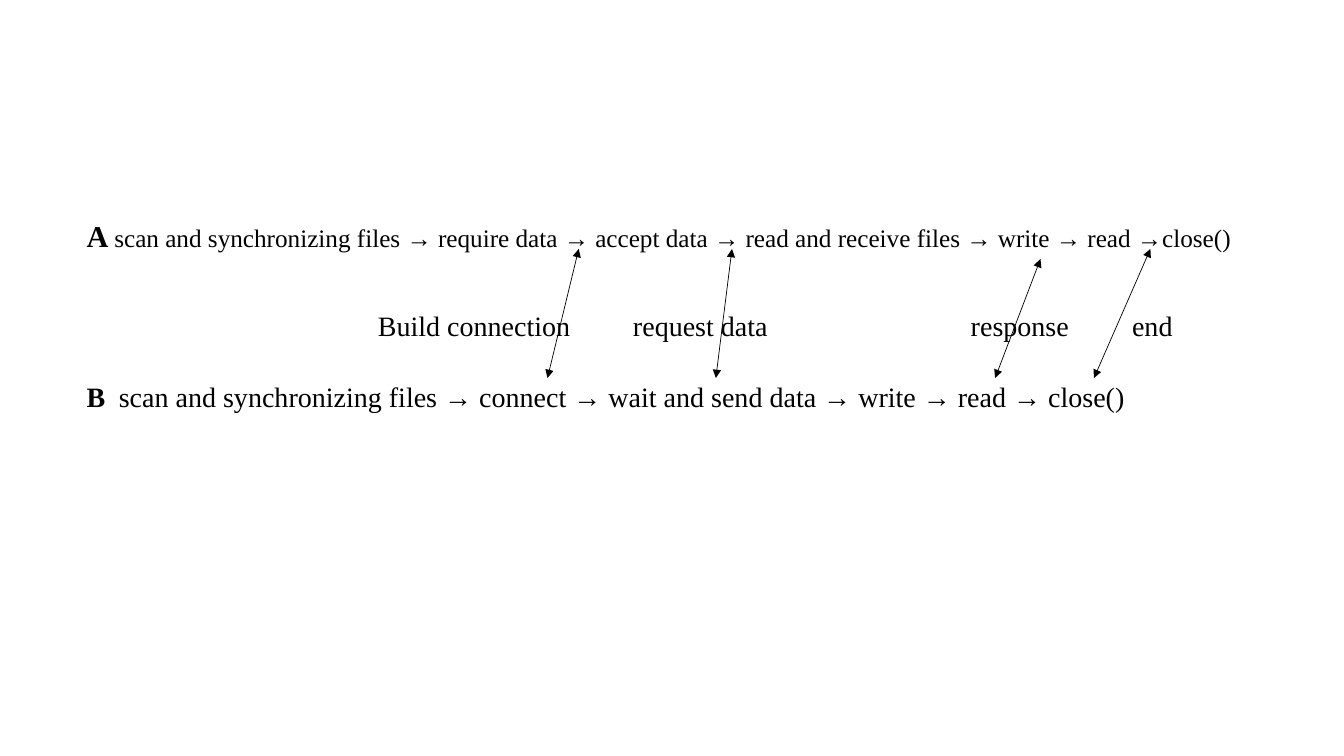
from lxml import etree
from pptx import Presentation
from pptx.dml.color import RGBColor
from pptx.enum.shapes import MSO_CONNECTOR
from pptx.enum.text import MSO_ANCHOR
from pptx.oxml.ns import qn
from pptx.util import Inches, Pt

TOP, BOTTOM = MSO_ANCHOR.TOP, MSO_ANCHOR.BOTTOM
STRAIGHT = MSO_CONNECTOR.STRAIGHT
BLACK = RGBColor(0, 0, 0)
FONT = "Times New Roman"

# Runs are (text, size in points, bold)
HOST_A = [
    ("A ", 21.6, True),
    ("scan and synchronizing files → require data → accept data → "
     "read and receive files → write → read →close()", 18, False),
]
HOST_B = [
    ("B\t", 20, True),
    ("scan and synchronizing files → connect → wait and send data → "
     "write → read → close()", 20, False),
]
MESSAGES = ["Build connection", "request data", "response", "end"]

# Box (left, top, width, height), runs, anchor, line spacing, space before, tab stops
TEXTS = [
    ((0.76, 2.16, 11.82, 0.41), HOST_A, BOTTOM, 0.9, 0, []),
    ((0.76, 3.75, 11.82, 0.41), HOST_B, TOP, 0.9, 10, [0.32]),
    ((3.65, 3.01, 8.63, 0.44), [("\t".join(MESSAGES), 20, False)],
     TOP, 1.0, 0, [2.53, 5.88, 7.48]),
]

# Upper end x, upper end y, lower end x
ARROWS = [(5.74, 2.47, 5.43), (7.26, 2.47, 7.1), (10.32, 2.57, 9.87), (11.41, 2.47, 10.85)]
ARROW_BOTTOM = 3.75


def add_text(slide, box, runs, anchor, spacing, before, tabs):
    tf = slide.shapes.add_textbox(*map(Inches, box)).text_frame
    tf.word_wrap = True
    tf.vertical_anchor = anchor
    p = tf.paragraphs[0]
    p.line_spacing = spacing
    p.space_before = Pt(before)
    if tabs:
        tab_list = etree.SubElement(p._p.get_or_add_pPr(), qn("a:tabLst"))
        for pos in tabs:
            etree.SubElement(tab_list, qn("a:tab"), pos=str(Inches(pos)), algn="l")
    for text, size, bold in runs:
        r = p.add_run()
        r.text = text
        r.font.name = FONT
        r.font.size = Pt(size)
        r.font.bold = bold
        r.font.color.rgb = BLACK


def add_double_arrow(slide, x1, y1, x2, y2):
    line = slide.shapes.add_connector(STRAIGHT, *map(Inches, (x1, y1, x2, y2)))
    line.line.color.rgb = BLACK
    line.line.width = Pt(0.5)
    ln = line.line._get_or_add_ln()
    for end in ("a:headEnd", "a:tailEnd"):
        etree.SubElement(ln, qn(end), type="triangle")
    etree.SubElement(line._element.spPr, qn("a:effectLst"))


def main():
    prs = Presentation()
    prs.slide_width, prs.slide_height = Inches(13.33), Inches(7.5)
    slide = prs.slides.add_slide(prs.slide_layouts[6])
    for text in TEXTS:
        add_text(slide, *text)
    for x_top, y_top, x_bottom in ARROWS:
        add_double_arrow(slide, x_top, y_top, x_bottom, ARROW_BOTTOM)
    prs.save("out.pptx")


if __name__ == "__main__":
    main()
